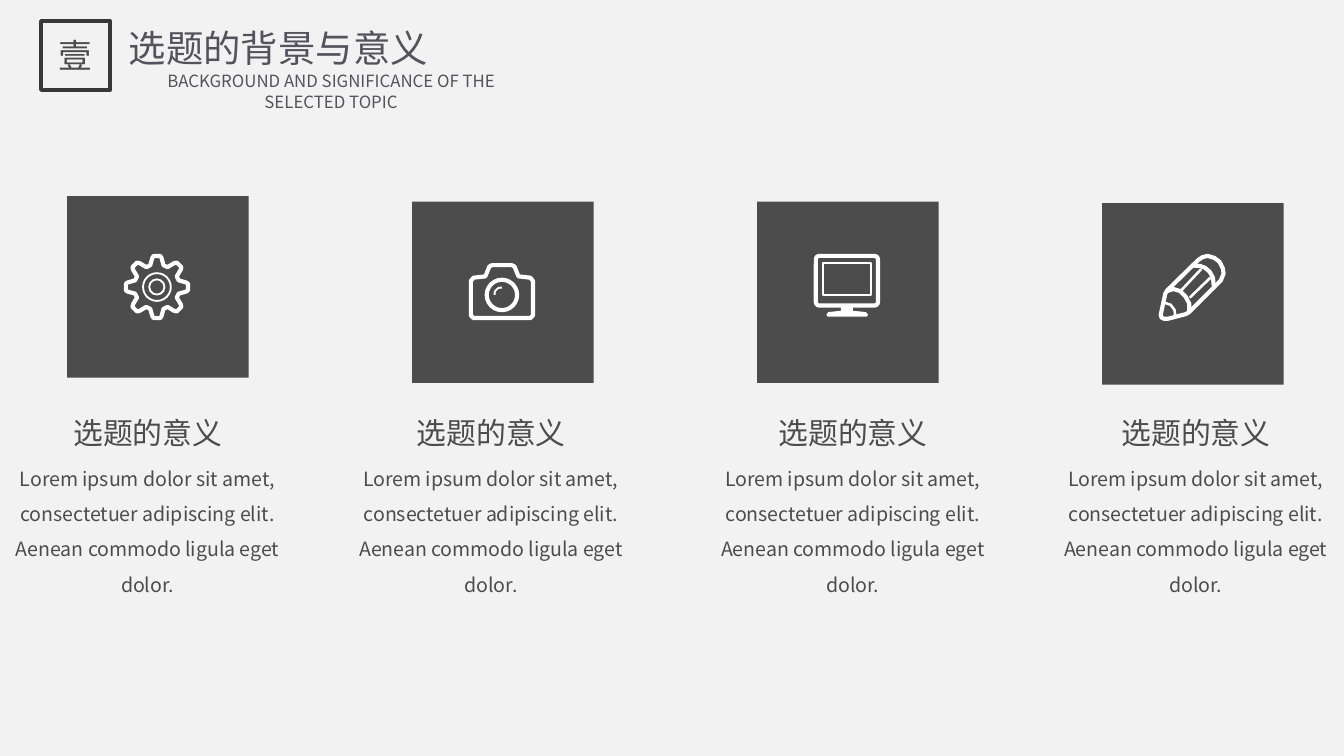
from dataclasses import dataclass
from math import cos, radians, sin

from pptx import Presentation
from pptx import util as u
from pptx.dml import color
from pptx.enum import shapes, text
from pptx.oxml import ns
from lxml import etree


@dataclass(frozen=True)
class Theme:
    font: str = "Noto Sans CJK SC"
    page: str = "F2F2F2"
    title: str = "54525C"
    frame: str = "383838"
    dark: str = "4C4C4C"
    icon: str = "FFFFFF"
    title_size: float = 20
    number_size: float = 18
    heading_size: float = 16
    body_size: float = 10.5
    subtitle_size: float = 9
    frame_line: float = 2.25
    thick: float = 2.2
    medium: float = 1.4
    thin: float = 1


THEME = Theme()
BODY = ("Lorem ipsum dolor sit amet, consectetuer adipiscing elit. "
        "Aenean commodo ligula eget dolor.")
ICON_SIZE = 1.25


def rgb(value):
    return color.RGBColor.from_string(value)


def write(shape, words, size, ink, align=text.PP_ALIGN.CENTER,
          anchor=text.MSO_ANCHOR.TOP, spacing=1):
    frame = shape.text_frame
    frame.word_wrap = True
    frame.auto_size = text.MSO_AUTO_SIZE.NONE
    frame.vertical_anchor = anchor
    para = frame.paragraphs[0]
    para.alignment = align
    para.line_spacing = spacing
    span = para.add_run()
    span.text = words
    span.font.size = u.Pt(size)
    span.font.name = THEME.font
    span.font.color.rgb = rgb(ink)
    east_asian = etree.SubElement(span.font._element, ns.qn("a:ea"))
    east_asian.set("typeface", THEME.font)


def text_box(page, left, top, width, height, *words, **style):
    box = page.shapes.add_textbox(u.Cm(left), u.Cm(top), u.Cm(width), u.Cm(height))
    write(box, *words, **style)


def paint(shape, fill=None, line=None, width=0):
    shape.shadow.inherit = False
    if fill:
        shape.fill.solid()
        shape.fill.fore_color.rgb = rgb(fill)
    else:
        shape.fill.background()
    if line:
        shape.line.color.rgb = rgb(line)
        shape.line.width = u.Pt(width)
    else:
        shape.line.fill.background()


class Icon:
    """White line drawing on a grid of 100 by 100 units."""

    def __init__(self, page, left, top):
        self.page, self.left, self.top = page, u.Cm(left), u.Cm(top)
        self.unit = u.Cm(ICON_SIZE) / 100

    def outline(self, points, width=THEME.thick, close=True, solid=False):
        start, *others = points
        builder = self.page.shapes.build_freeform(*start, scale=self.unit)
        builder.add_line_segments(others, close=close)
        shape = builder.convert_to_shape(self.left, self.top)
        if solid:
            paint(shape, fill=THEME.icon)
        else:
            paint(shape, line=THEME.icon, width=width)
            etree.SubElement(shape.line._ln, ns.qn("a:round"))

    def preset(self, kind, left, top, right, bottom, width):
        shape = self.page.shapes.add_shape(
            kind, self.left + int(left * self.unit), self.top + int(top * self.unit),
            int((right - left) * self.unit), int((bottom - top) * self.unit))
        paint(shape, line=THEME.icon, width=width)
        return shape

    def ring(self, x, y, radius, width):
        self.preset(shapes.MSO_SHAPE.OVAL, x - radius, y - radius,
                    x + radius, y + radius, width)


def polar(x, y, radius, angle):
    return x + radius * cos(radians(angle)), y + radius * sin(radians(angle))


def gear(icon):
    tooth = [(-17, 34), (-9, 45), (-6, 47), (6, 47), (9, 45), (17, 34)]
    icon.outline([polar(50, 50, radius, turn + offset)
                  for turn in range(0, 360, 45) for offset, radius in tooth])
    icon.ring(50, 50, 21, THEME.thin)
    icon.ring(50, 50, 11.5, THEME.thin)


def camera(icon):
    left_half = [(50, 97), (7, 97), (3, 93), (3, 41), (7, 36), (25, 34),
                 (31, 19), (35, 17), (50, 17)]
    right_half = [(100 - x, y) for x, y in reversed(left_half[1:-1])]
    icon.outline(left_half + right_half)
    icon.ring(50, 62, 23, THEME.thick)
    icon.outline([polar(50, 62, 11, angle) for angle in range(180, 271, 15)],
                 THEME.thin, close=False)


def monitor(icon):
    case = icon.preset(shapes.MSO_SHAPE.ROUNDED_RECTANGLE, 3, 3, 97, 78, THEME.thick)
    case.adjustments[0] = 0.07
    icon.preset(shapes.MSO_SHAPE.RECTANGLE, 14, 14, 86, 62, THEME.thin)
    icon.outline([(41, 80), (59, 80), (59, 86), (79, 88), (82, 92), (80, 95),
                  (21, 95), (19, 92), (22, 88), (41, 86)], solid=True)


def pencil(icon):
    icon.outline([(3, 92), (10, 60), (13, 55), (60, 9), (66, 5), (74, 3), (84, 6),
                  (92, 12), (97, 22), (98, 30), (94, 40), (46, 88), (41, 91),
                  (14, 98), (8, 98), (4, 96)])
    collar = [(13, 56), (22, 53), (32, 56), (41, 65), (46, 75), (46, 87)]
    ferrule = [(53, 18), (62, 18), (70, 21), (77, 27), (82, 36), (83, 48)]
    lead = [(9, 74), (18, 77), (24, 85), (25, 94)]
    for points, width in [(collar, THEME.thick), (ferrule, THEME.thick),
                          (lead, THEME.medium),
                          ([(34, 55), (64, 23)], THEME.medium),
                          ([(47, 66), (78, 36)], THEME.medium)]:
        icon.outline(points, width, close=False)


def header(page, left, top):
    title = page.shapes.title
    title.left, title.top = u.Cm(left + 1.4), u.Cm(top - 0.05)
    title.width, title.height = u.Cm(7.42), u.Cm(1.12)
    write(title, "选题的背景与意义", THEME.title_size, THEME.title,
          align=text.PP_ALIGN.LEFT)
    text_box(page, left + 1.4, top + 0.82, 8.15, 0.64,
             "BACKGROUND AND SIGNIFICANCE OF THE SELECTED TOPIC",
             THEME.subtitle_size, THEME.title)
    badge = page.shapes.add_shape(shapes.MSO_SHAPE.RECTANGLE, u.Cm(left), u.Cm(top),
                                  u.Cm(1.3), u.Cm(1.3))
    paint(badge, line=THEME.frame, width=THEME.frame_line)
    write(badge, "壹", THEME.number_size, THEME.dark, anchor=text.MSO_ANCHOR.MIDDLE)


def tile(page, left, top, size, draw):
    square = page.shapes.add_shape(shapes.MSO_SHAPE.RECTANGLE, u.Cm(left), u.Cm(top),
                                   u.Cm(size), u.Cm(size))
    paint(square, fill=THEME.dark)
    draw(Icon(page, left + (size - ICON_SIZE) / 2 - 0.02, 4.8))


def caption(page, left, top, width):
    text_box(page, left + 0.73, top, width - 1.45, 0.94, "选题的意义",
             THEME.heading_size, THEME.dark)
    text_box(page, left, top + 0.76, width, 2.87, BODY,
             THEME.body_size, THEME.dark, spacing=1.5)


def main():
    deck = Presentation()
    deck.slide_width, deck.slide_height = u.Cm(25.4), u.Cm(14.29)
    page = deck.slides.add_slide(deck.slide_layouts[5])
    page.background.fill.solid()
    page.background.fill.fore_color.rgb = rgb(THEME.page)
    header(page, 0.78, 0.4)
    columns = [(gear, 3.71, 0), (camera, 3.81, 6.49),
               (monitor, 3.81, 13.33), (pencil, 3.84, 19.81)]
    for index, (draw, tile_top, caption_left) in enumerate(columns):
        tile(page, 1.27 + 6.52 * index, tile_top, 3.43, draw)
        caption(page, caption_left, 7.72, 5.58)
    deck.save("out.pptx")


if __name__ == "__main__":
    main()
